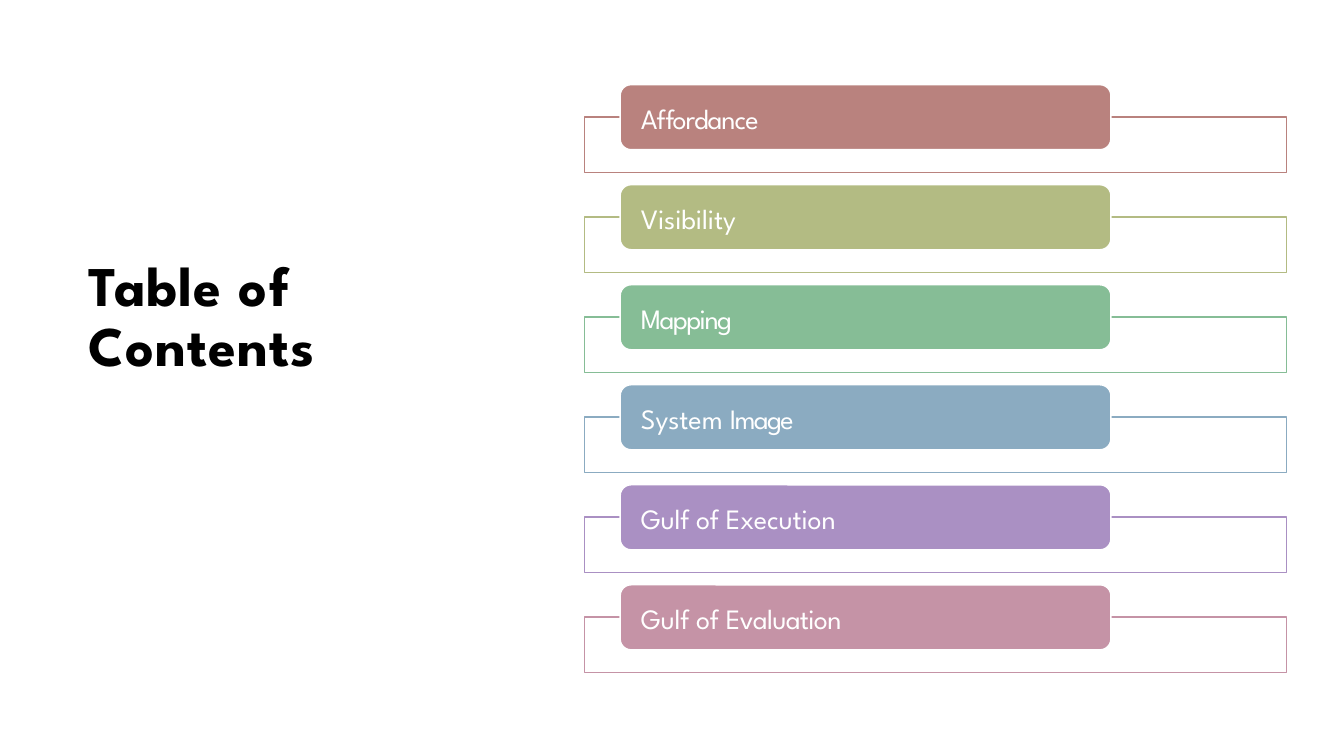
"""Build the table of contents slide with its six coloured topic bars."""

from dataclasses import dataclass

import pptx
import pptx.dml.color
import pptx.enum.shapes
import pptx.enum.text
import pptx.shapes.autoshape
import pptx.slide
import pptx.text.text
import pptx.util

Pt = pptx.util.Pt

FONT = "League Spartan"
COLORS = {
    "black": "000000",
    "white": "FFFFFF",
    "red": "B9827E",
    "olive": "B3BB83",
    "green": "86BD96",
    "blue": "8BABC1",
    "purple": "AA90C3",
    "pink": "C593A6",
}

FIRST_BAR_TOP = 60.5
TOPIC_PITCH = 71.45
BAR_LEFT, BAR_WIDTH, BAR_HEIGHT = 443, 350.5, 46.4
FRAME_LEFT, FRAME_WIDTH, FRAME_HEIGHT = 417.6, 501.2, 39.6
FRAME_DROP = 23


@dataclass(frozen=True)
class Piece:
    """A stretch of text with its letter spacing in points."""

    text: str
    spacing: float = 0


@dataclass(frozen=True)
class Topic:
    """A contents entry with its colour name."""

    color: str
    pieces: tuple[Piece, ...]


TITLE = (Piece("Table ", 0.8), Piece("of ", 1.3), Piece("Contents", 0.8))
TOPICS = (
    Topic("red", (Piece("Affordance", -0.7),)),
    Topic("olive", (Piece("Visibility", -0.1),)),
    Topic("green", (Piece("Mapping", -1.1),)),
    Topic("blue", (Piece("System "), Piece("Image", -1.2))),
    Topic("purple", (Piece("Gulf ", -0.2), Piece("of "), Piece("Execution", -0.1))),
    Topic("pink", (Piece("Gulf ", -0.2), Piece("of "), Piece("Evaluation", -0.5))),
)


def rgb(name: str) -> pptx.dml.color.RGBColor:
    """Return the named colour."""
    return pptx.dml.color.RGBColor.from_string(COLORS[name])


def add_text(paragraph: pptx.text.text._Paragraph, text: str, *, size: float,
             color: str, bold: bool = False, spacing: float = 0) -> None:
    """Append formatted text to a paragraph."""
    run = paragraph.add_run()
    run.text = text
    run.font.name = FONT
    run.font.size = Pt(size)
    run.font.bold = bold
    run.font.color.rgb = rgb(color)
    run._r.get_or_add_rPr().set("spc", str(round(spacing * 100)))


def prepare_frame(text_frame: pptx.text.text.TextFrame, left: float = 0,
                  top: float = 0) -> pptx.text.text._Paragraph:
    """Set margins and anchoring, and return the left-aligned first paragraph."""
    text_frame.word_wrap = True
    text_frame.auto_size = pptx.enum.text.MSO_AUTO_SIZE.NONE
    text_frame.vertical_anchor = pptx.enum.text.MSO_ANCHOR.TOP
    text_frame.margin_left, text_frame.margin_top = Pt(left), Pt(top)
    text_frame.margin_right = text_frame.margin_bottom = Pt(0)
    paragraph = text_frame.paragraphs[0]
    paragraph.alignment = pptx.enum.text.PP_ALIGN.LEFT
    paragraph.space_before = Pt(0)
    return paragraph


def add_box(slide: pptx.slide.Slide, kind: pptx.enum.shapes.MSO_SHAPE, left: float,
            top: float, width: float, height: float, line: str,
            fill: str | None = None) -> pptx.shapes.autoshape.Shape:
    """Add an outlined shape, filled when a fill colour is given."""
    shape = slide.shapes.add_shape(kind, Pt(left), Pt(top), Pt(width), Pt(height))
    shape.shadow.inherit = False
    shape.line.color.rgb = rgb(line)
    shape.line.width = Pt(1)
    if fill:
        shape.fill.solid()
        shape.fill.fore_color.rgb = rgb(fill)
    else:
        shape.fill.background()
    return shape


def add_title(slide: pptx.slide.Slide) -> None:
    """Place and fill the slide title."""
    title = slide.shapes.title
    title.left, title.top, title.width, title.height = Pt(63.5), Pt(183.5), Pt(181), Pt(88)
    paragraph = prepare_frame(title.text_frame)
    paragraph.line_spacing = Pt(43.2)
    for piece in TITLE:
        add_text(paragraph, piece.text, size=40, color="black", bold=True,
                 spacing=piece.spacing)


def add_topic(slide: pptx.slide.Slide, topic: Topic, top: float) -> None:
    """Draw a topic's frame and its labelled bar."""
    shapes = pptx.enum.shapes.MSO_SHAPE
    add_box(slide, shapes.RECTANGLE, FRAME_LEFT, top + FRAME_DROP,
            FRAME_WIDTH, FRAME_HEIGHT, topic.color)
    bar = add_box(slide, shapes.ROUNDED_RECTANGLE, BAR_LEFT, top,
                  BAR_WIDTH, BAR_HEIGHT, "white", topic.color)
    paragraph = prepare_frame(bar.text_frame, left=12.5, top=9.7)
    for piece in topic.pieces:
        add_text(paragraph, piece.text, size=20, color="white", spacing=piece.spacing)


def main() -> None:
    """Build and save the presentation."""
    presentation = pptx.Presentation()
    presentation.slide_width, presentation.slide_height = Pt(960), Pt(540)
    slide = presentation.slides.add_slide(presentation.slide_layouts[5])
    add_title(slide)
    for index, topic in enumerate(TOPICS):
        add_topic(slide, topic, FIRST_BAR_TOP + index * TOPIC_PITCH)
    presentation.save("out.pptx")


if __name__ == "__main__":
    main()
